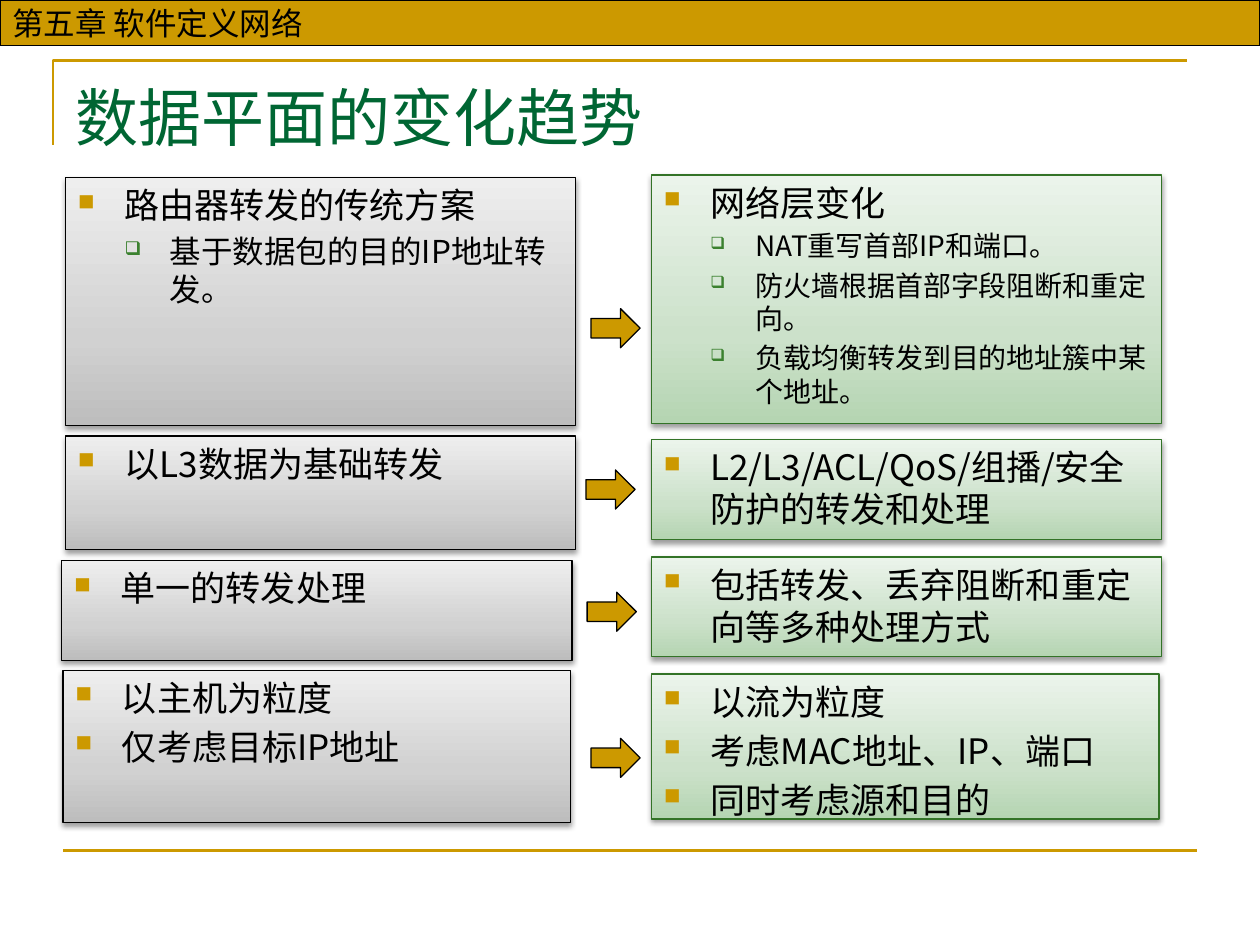
import pptx
import pptx.util
import pptx.dml.color
import pptx.enum.shapes
import pptx.enum.text
import pptx.oxml
import pptx.oxml.ns

W, H = 10, 7.5
GOLD, GREEN, BLACK = "CC9900", "006633", "000000"
BODY_FONT = "Noto Sans CJK JP"
NS = 'xmlns:a="http://schemas.openxmlformats.org/drawingml/2006/main"'
SHAPE = pptx.enum.shapes.MSO_SHAPE
ANCHOR = pptx.enum.text.MSO_ANCHOR

# Box styles: gradient from bottom to top, and outline
GREY_BOX = (("BDBDBD", "D1D1D1", "EEEEEE"), BLACK)
GREEN_BOX = (("B5D5B2", "CCE1CA", "EBF4EB"), "337327")
STOPS = (0, 35, 100)

# Bullets by level: character, colour, size %, left margin, hanging indent
BULLETS = (("■", GOLD, 65, 0.37, 0.37), ("❑", "3B812F", 60, 0.73, 0.36))

# Rows: left box, right box (left, top, width, height, paragraphs), arrow corner
# Paragraphs: (level, size, text)
ROWS = (
    ((0.52, 1.41, 4.05, 1.97, ((0, 20, "路由器转发的传统方案"),
                               (1, 18, "基于数据包的目的IP地址转发。"))),
     (5.17, 1.39, 4.05, 1.97, ((0, 20, "网络层变化"),
                               (1, 16, "NAT重写首部IP和端口。"),
                               (1, 16, "防火墙根据首部字段阻断和重定向。"),
                               (1, 16, "负载均衡转发到目的地址簇中某个地址。"))),
     (4.69, 2.45)),
    ((0.52, 3.46, 4.05, 0.9, ((0, 20, "以L3数据为基础转发"),)),
     (5.17, 3.49, 4.05, 0.79, ((0, 20, "L2/L3/ACL/QoS/组播/安全防护的转发和处理"),)),
     (4.65, 3.73)),
    ((0.49, 4.45, 4.05, 0.79, ((0, 20, "单一的转发处理"),)),
     (5.17, 4.42, 4.05, 0.79, ((0, 20, "包括转发、丢弃阻断和重定向等多种处理方式"),)),
     (4.66, 4.7)),
    ((0.5, 5.32, 4.03, 1.21, ((0, 20, "以主机为粒度"),
                              (0, 20, "仅考虑目标IP地址"))),
     (5.17, 5.35, 4.03, 1.15, ((0, 20, "以流为粒度"),
                               (0, 20, "考虑MAC地址、IP、端口"),
                               (0, 20, "同时考虑源和目的"))),
     (4.69, 5.86)),
)


def rgb(value):
    return pptx.dml.color.RGBColor.from_string(value)


def inches(*values):
    return [pptx.util.Inches(v) for v in values]


def xml(text):
    """Parse one DrawingML element."""
    return pptx.oxml.parse_xml(text.replace(">", f" {NS}>", 1) if "/>" not in text.split(">")[0] + ">"
                               else text.replace("/>", f" {NS}/>", 1))


def set_line(sp, color, width):
    sp.line.color.rgb = rgb(color)
    sp.line.width = pptx.util.Pt(width)


def write(p, text, size=20, font=BODY_FONT, color=BLACK):
    """Put formatted, left-aligned text in a paragraph."""
    p.alignment = pptx.enum.text.PP_ALIGN.LEFT
    r = p.add_run()
    r.text = text
    r.font.size = pptx.util.Pt(size)
    r.font.name = font
    r.font.color.rgb = rgb(color)
    r.font._element.append(xml(f'<a:ea typeface="{BODY_FONT}"/>'))


def add_bullet(p, level):
    char, color, size, margin, hang = BULLETS[level]
    p.level = level
    pPr = p._p.get_or_add_pPr()
    pPr.set("marL", str(pptx.util.Inches(margin)))
    pPr.set("indent", str(-pptx.util.Inches(hang)))
    for part in (f'<a:buClr><a:srgbClr val="{color}"/></a:buClr>',
                 f'<a:buSzPct val="{size * 1000}"/>',
                 f'<a:buChar char="{char}"/>'):
        pPr.append(xml(part))


def add_shape(s, kind, x, y, w, h, fill=GOLD, line=BLACK):
    sp = s.shapes.add_shape(kind, *inches(x, y, w, h))
    sp.shadow.inherit = False
    sp.fill.solid()
    sp.fill.fore_color.rgb = rgb(fill)
    set_line(sp, line, 0.75)
    return sp


def add_box(s, style, x, y, w, h, paragraphs):
    """Gradient box with a soft shadow and a bulleted list."""
    colors, line = style
    sp = add_shape(s, SHAPE.RECTANGLE, x, y, w, h, line=line)
    spPr = sp._element.spPr
    stops = "".join(f'<a:gs pos="{pos * 1000}"><a:srgbClr val="{c}"/></a:gs>'
                    for pos, c in zip(STOPS, colors))
    spPr.replace(spPr.find(pptx.oxml.ns.qn("a:solidFill")), xml(
        f'<a:gradFill><a:gsLst>{stops}</a:gsLst>'
        '<a:lin ang="16200000" scaled="0"/></a:gradFill>'))
    spPr.find(pptx.oxml.ns.qn("a:effectLst")).append(xml(
        f'<a:outerShdw blurRad="{pptx.util.Pt(3.1)}" dist="{pptx.util.Pt(1.6)}" '
        'dir="5400000" rotWithShape="0"><a:srgbClr val="000000">'
        '<a:alpha val="38000"/></a:srgbClr></a:outerShdw>'))
    tf = sp.text_frame
    tf.word_wrap = True
    tf.vertical_anchor = ANCHOR.TOP
    for i, (level, size, text) in enumerate(paragraphs):
        p = tf.add_paragraph() if i else tf.paragraphs[0]
        if i:
            p._p.get_or_add_pPr().append(
                xml('<a:spcBef><a:spcPct val="20000"/></a:spcBef>'))
        add_bullet(p, level)
        write(p, text, size=size)


def add_frame(s):
    """Corner rule, bottom rule and chapter band."""
    fb = s.shapes.build_freeform(*inches(0.42, 1.15))
    fb.add_line_segments([inches(0.42, 0.48), inches(9.42, 0.48)], close=False)
    corner = fb.convert_to_shape()
    corner.shadow.inherit = False
    corner.fill.background()
    set_line(corner, GOLD, 1.5)

    rule = s.shapes.add_connector(pptx.enum.shapes.MSO_CONNECTOR.STRAIGHT,
                                  *inches(0.5, 6.75, W - 0.5, 6.75))
    set_line(rule, GOLD, 1.5)
    rule._element.spPr.append(xml("<a:effectLst/>"))

    band = add_shape(s, SHAPE.RECTANGLE, 0, 0, W, 0.36)
    band.text_frame.vertical_anchor = ANCHOR.MIDDLE
    write(band.text_frame.paragraphs[0], "第五章 软件定义网络", size=18, font="Arial")


def add_title(s, text):
    sp = s.shapes.title
    sp.left, sp.top, sp.width, sp.height = inches(0.5, 0.54, 9, 0.77)
    sp.text_frame.vertical_anchor = ANCHOR.MIDDLE
    write(sp.text_frame.paragraphs[0], text, size=36, font="Calibri", color=GREEN)


def main():
    prs = pptx.Presentation()
    prs.slide_width, prs.slide_height = inches(W, H)
    s = prs.slides.add_slide(prs.slide_layouts[5])
    add_frame(s)
    add_title(s, "数据平面的变化趋势")
    for left, right, corner in ROWS:
        add_box(s, GREY_BOX, *left)
        add_box(s, GREEN_BOX, *right)
        add_shape(s, SHAPE.RIGHT_ARROW, *corner, 0.39, 0.31)
    prs.save("out.pptx")


if __name__ == "__main__":
    main()
